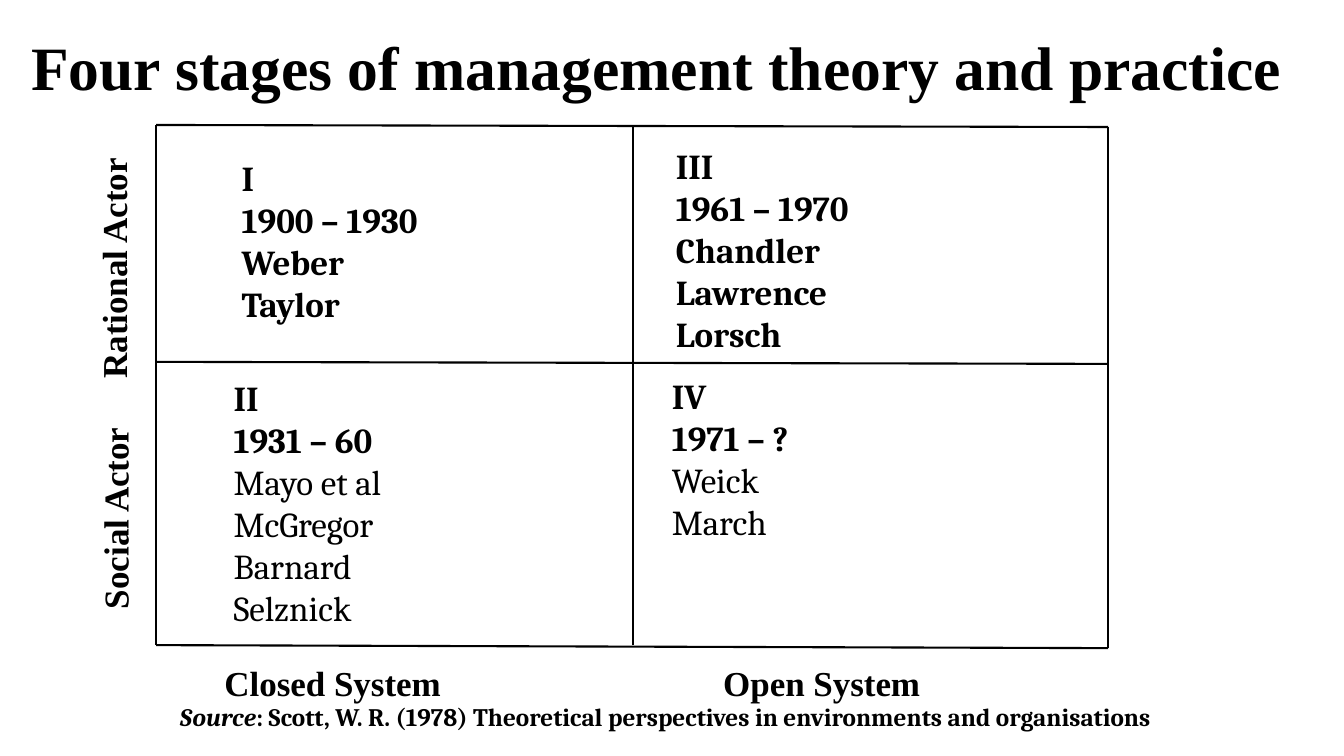
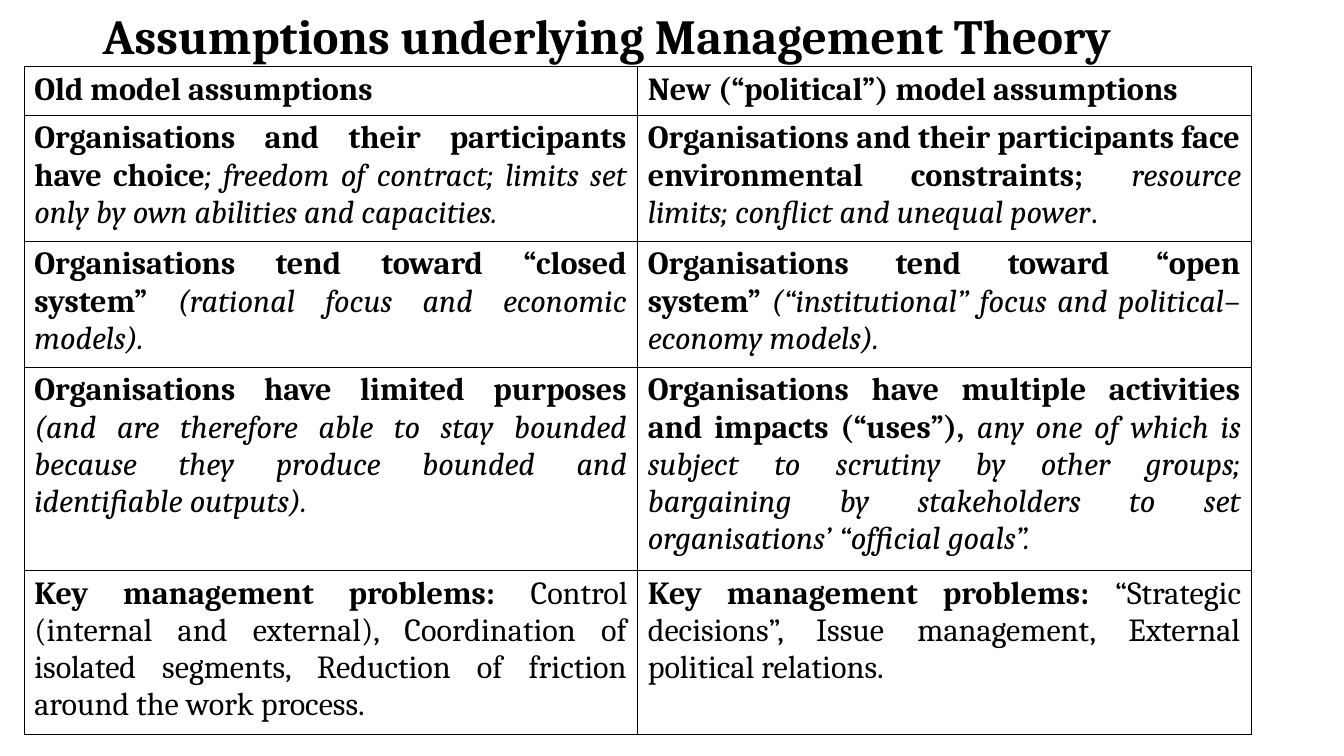
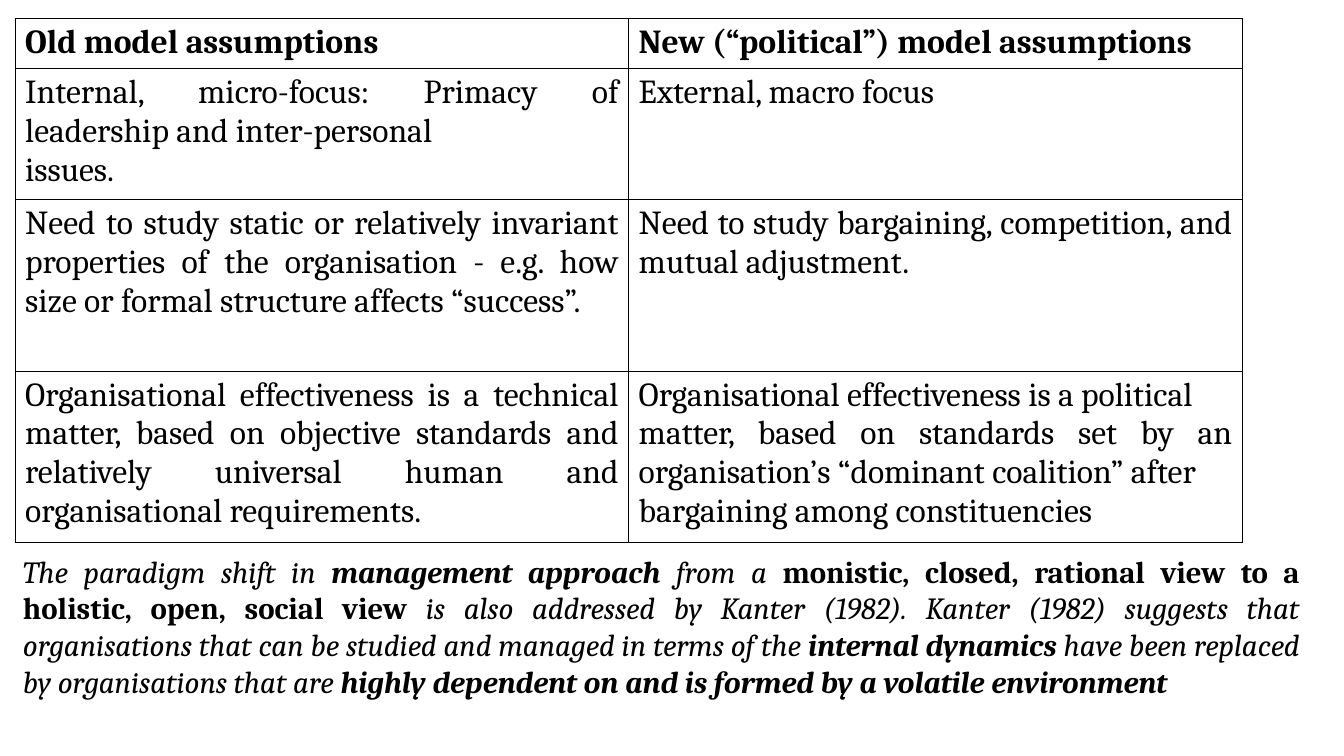
import pptx
import pptx.util
import pptx.dml.color
import pptx.enum.shapes
import pptx.enum.text
import pptx.oxml
import lxml.etree

Inches = pptx.util.Inches
Pt = pptx.util.Pt
ALIGN = pptx.enum.text.PP_ALIGN
AUTO = pptx.enum.text.MSO_AUTO_SIZE
ANCHOR = pptx.enum.text.MSO_ANCHOR
BLACK = pptx.dml.color.RGBColor(0x00, 0x00, 0x00)
NS = "http://schemas.openxmlformats.org/drawingml/2006/main"

SERIF = "Times New Roman"
BODY = "Cambria"
TITLE = {"line_spacing": 0.9}
JUSTIFY = {"alignment": ALIGN.JUSTIFY}
BORDER = (f'<a:{{side}} xmlns:a="{NS}" w="5715"><a:solidFill>'
          f'<a:srgbClr val="{BLACK}"/></a:solidFill></a:{{side}}>')


def write(tf, paras, font, size, para_format):
    """Each paragraph is a list of (text, style); style holds b and/or i."""
    for n, runs in enumerate(paras):
        p = tf.paragraphs[0] if n == 0 else tf.add_paragraph()
        for key, value in para_format.items():
            setattr(p, key, value)
        for text, style in runs:
            r = p.add_run()
            r.text = text
            font_format = {"name": font, "size": Pt(size), "bold": "b" in style,
                           "italic": "i" in style}
            for key, value in font_format.items():
                setattr(r.font, key, value)
            r.font.color.rgb = BLACK


def add_text(s, box, paras, font, size, para_format, **frame):
    sp = s.shapes.add_textbox(*map(Inches, box))
    tf = sp.text_frame
    settings = {"word_wrap": True, "auto_size": AUTO.SHAPE_TO_FIT_TEXT} | frame
    for key, value in settings.items():
        setattr(tf, key, value)
    write(tf, paras, font, size, para_format)
    return sp


prs = pptx.Presentation()
prs.slide_width, prs.slide_height = Inches(13.34), Inches(7.5)
slides = [prs.slides.add_slide(prs.slide_layouts[6]) for _ in range(3)]

# Titles
titles = [
    ((0.21, 0.4, 12.79, 0.6), "Four stages of management theory and practice", SERIF, 44),
    ((0.92, 0.21, 11.5, 0.35), "Assumptions underlying Management Theory", BODY, 35),
]
for s, (box, text, font, size) in zip(slides, titles):
    add_text(s, box, [[(text, "b")]], font, size, TITLE,
             auto_size=AUTO.NONE, vertical_anchor=ANCHOR.MIDDLE)

# Slide 1: grid lines
s = slides[0]
left, middle, right = 1.55, 6.28, 11
grid_lines = [
    (left, 1.24, right, 1.26),
    (left, 3.59, right, 3.61),
    (left, 6.4, right, 6.43),
    (left, 6.4, left, 1.24),
    (middle, 6.4, middle, 1.26),
    (right, 6.43, right, 1.26),
]
for ends in grid_lines:
    line = s.shapes.add_connector(pptx.enum.shapes.MSO_CONNECTOR.STRAIGHT,
                                  *map(Inches, ends))
    line.line.color.rgb = BLACK
    line.line.width = Pt(1.5)
    lxml.etree.SubElement(line._element.spPr, f"{{{NS}}}effectLst")

# Slide 1: the four stages
stages = [
    (2.3, 1.5, 1.77, ["I", "1900 – 1930"], ["Weber", "Taylor"], "b"),
    (6.61, 1.38, 2.19, ["III", "1961 – 1970"], ["Chandler", "Lawrence", "Lorsch"], "b"),
    (2.22, 3.69, 2.6, ["II", "1931 – 60"],
     ["Mayo et al", "McGregor", "Barnard", "Selznick"], ""),
    (6.57, 3.67, 1.77, ["IV", "1971 – ?"], ["Weick", "March"], ""),
]
for x, y, height, heading, authors, style in stages:
    paras = [[(t, "b")] for t in heading] + [[(t, style)] for t in authors]
    add_text(s, (x, y, 3.22, height), paras, BODY, 25, {})

# Slide 1: axis labels and source
axis_labels = [
    (-0.25, 2.22, 2.75, "Rational Actor", 270),
    (-0.02, 4.72, 2.32, "Social Actor", 270),
    (2.13, 6.51, 2.7, "Closed System", 0),
    (7.08, 6.51, 2.47, "Open System", 0),
]
for x, y, width, text, rotation in axis_labels:
    sp = add_text(s, (x, y, width, 0.52), [[(text, "b")]], SERIF, 25, {}, word_wrap=False)
    sp.rotation = rotation
source = [("Source", "bi"),
          (": Scott, W. R. (1978) Theoretical perspectives in environments and organisations", "b")]
add_text(s, (0.21, 6.91, 12.79, 0.4), [source], BODY, 18, {"alignment": ALIGN.CENTER})

# Slides 2 and 3: tables of assumptions, each cell a list of paragraphs
header = [[[("Old model assumptions", "b")]],
          [[("New (“political”) model assumptions", "b")]]]
general_rows = [
    header,
    [[[("Organisations and their participants have choice", "b"),
       ("; freedom of contract; limits set only by own abilities and capacities.", "i")]],
     [[("Organisations and their participants face environmental constraints; ", "b"),
       ("resource limits; conflict and unequal power", "i"), (".", "")]]],
    [[[("Organisations tend toward “closed system” ", "b"),
       ("(rational focus and economic models).", "i")]],
     [[("Organisations tend toward “open system” ", "b"),
       ("(“institutional” focus and political–economy models).", "i")]]],
    [[[("Organisations have limited purposes ", "b"),
       ("(and are therefore able to stay bounded because they produce bounded and "
        "identifiable outputs).", "i")]],
     [[("Organisations have multiple activities and impacts (“uses”), ", "b"),
       ("any one of which is subject to scrutiny by other groups; bargaining by "
        "stakeholders to set organisations’ “official goals”.", "i")]]],
    [[[("Key management problems: ", "b"),
       ("Control (internal and external), Coordination of isolated segments, "
        "Reduction of friction around the work process.", "")]],
     [[("Key management problems: ", "b"),
       ("“Strategic decisions”, Issue management, External political relations.", "")]]],
]
focus_rows = [
    header,
    [[[("Internal, micro-focus: Primacy of leadership and inter-personal", "")],
      [("issues.", "")]],
     [[("External, macro focus", "")]]],
    [[[("Need to study static or relatively invariant properties of the organisation - "
        "e.g. how size or formal structure affects “success”.", "")]],
     [[("Need to study bargaining, competition, and mutual adjustment.", "")]]],
    [[[("Organisational effectiveness is a technical matter, based on objective standards "
        "and relatively universal human and organisational requirements.", "")]],
     [[("Organisational effectiveness is a political", "")],
      [("matter, based on standards set by an organisation’s “dominant coalition” after", "")],
      [("bargaining among constituencies", "")]]],
]
tables = [
    (slides[1], 0.24, 0.66, [0.48, 1.25, 1.25, 2.02, 1.63], 23, general_rows),
    (slides[2], 0.15, 0.18, [0.5, 1.3, 1.7, 1.7], 24, focus_rows),
]
for s, x, y, heights, size, rows in tables:
    table = s.shapes.add_table(len(rows), 2, Inches(x), Inches(y),
                               Inches(12.18), Inches(sum(heights))).table
    table.first_row = table.horz_banding = False
    for row, height, cells in zip(table.rows, heights, rows):
        row.height = Inches(height)
        for cell, paras in zip(row.cells, cells):
            write(cell.text_frame, paras, BODY, size, JUSTIFY)
            tcPr = cell._tc.get_or_add_tcPr()
            for side in ("lnL", "lnR", "lnT", "lnB"):
                tcPr.append(pptx.oxml.parse_xml(BORDER.format(side=side)))
            cell.fill.background()

# Slide 3: closing remark
remark = [
    ("The paradigm shift in ", "i"),
    ("management approach ", "bi"),
    ("from a ", "i"),
    ("monistic, closed, rational view to a holistic, open, social view ", "b"),
    ("is also addressed by Kanter (1982). Kanter (1982) suggests that organisations that "
     "can be studied and managed in terms of the ", "i"),
    ("internal dynamics ", "bi"),
    ("have been replaced by organisations that are ", "i"),
    ("highly dependent on and is formed by a volatile environment", "bi"),
]
add_text(slides[2], (0.13, 5.43, 12.87, 1.57), [remark], BODY, 22, JUSTIFY)

prs.save("out.pptx")
